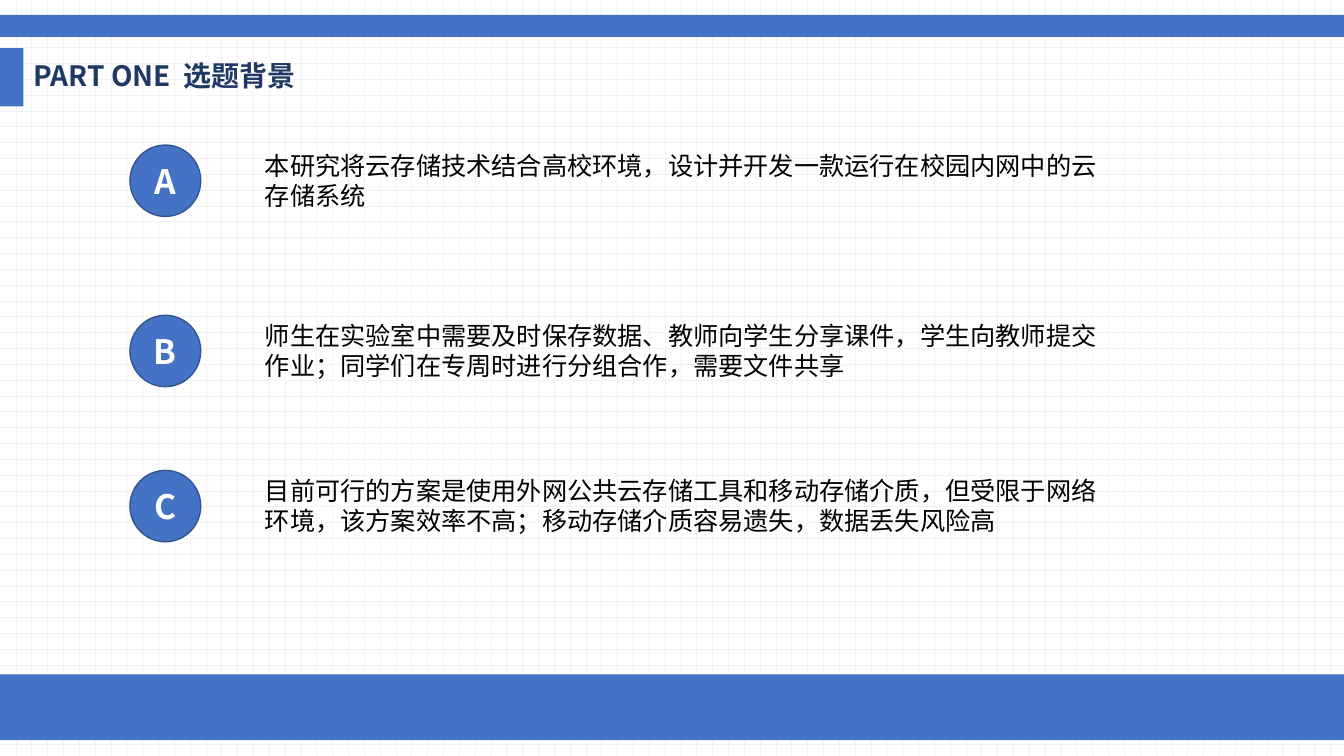
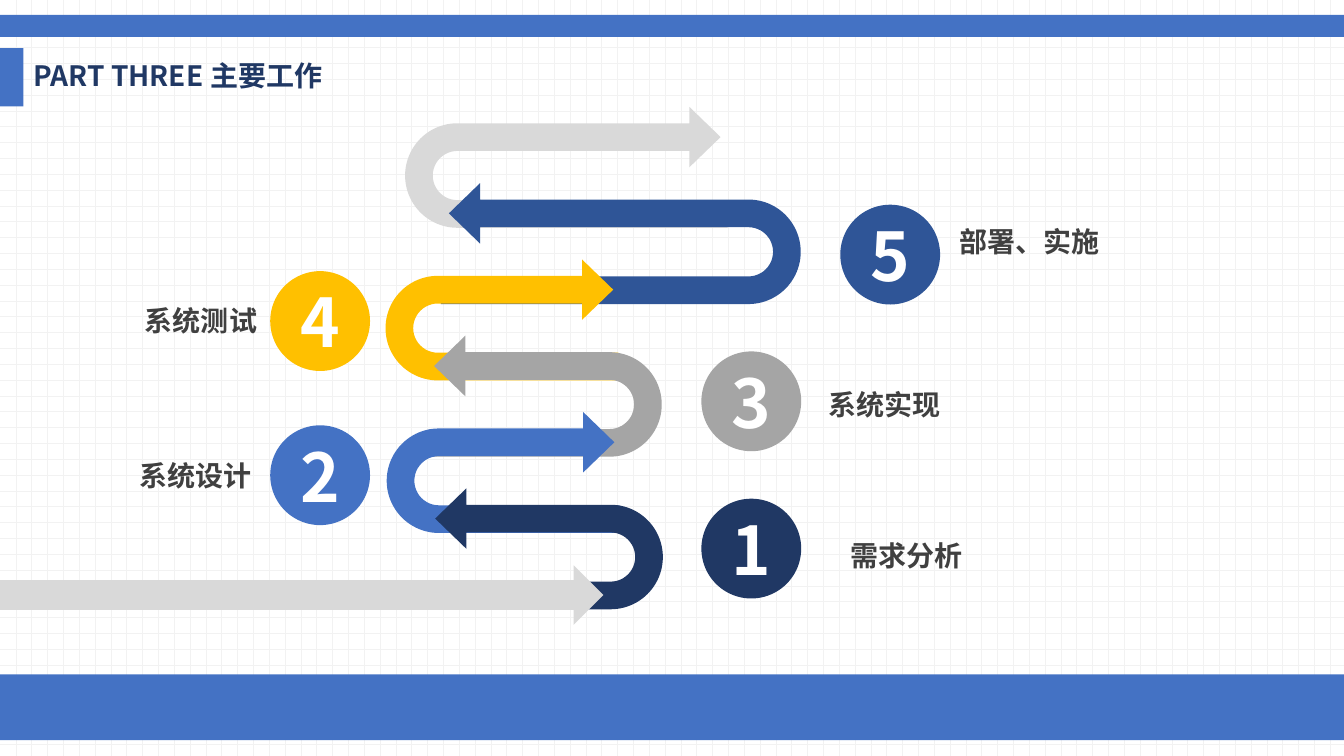
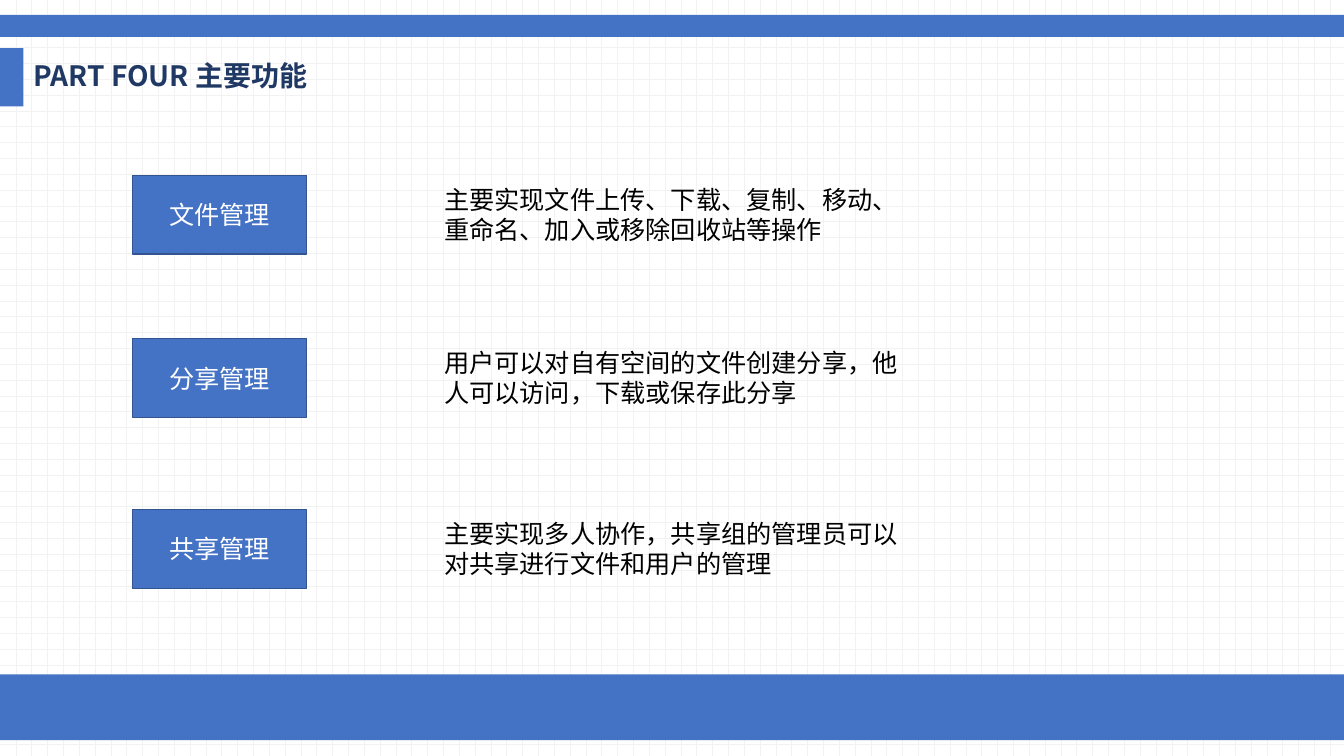
from lxml.etree import SubElement
from pptx import Presentation
from pptx.dml.color import RGBColor
from pptx.enum.dml import MSO_PATTERN
from pptx.enum.shapes import MSO_SHAPE
from pptx.enum.text import MSO_ANCHOR, MSO_AUTO_SIZE, PP_ALIGN
from pptx.oxml.ns import qn
from pptx.util import Pt

FONT = "Noto Sans CJK SC"
BLUE = RGBColor(0x44, 0x72, 0xC4)
EDGE = RGBColor(0x32, 0x54, 0x91)
NAVY = RGBColor(0x20, 0x38, 0x64)
ROYAL = RGBColor(0x2F, 0x55, 0x97)
GOLD = RGBColor(0xFF, 0xC0, 0x00)
GRAY = RGBColor(0xA5, 0xA5, 0xA5)
SILVER = RGBColor(0xD9, 0xD9, 0xD9)
GRID = RGBColor(0xF2, 0xF2, 0xF2)
CHARCOAL = RGBColor(0x40, 0x40, 0x40)
BLACK = RGBColor(0, 0, 0)
WHITE = RGBColor(0xFF, 0xFF, 0xFF)


def write(tf, text, size=18, color=BLACK, bold=False, align=PP_ALIGN.LEFT,
          anchor=MSO_ANCHOR.TOP, spacing=None, before=None):
    """Write one formatted paragraph into a text frame."""
    tf.word_wrap = True
    tf.auto_size = MSO_AUTO_SIZE.NONE
    tf.vertical_anchor = anchor
    p = tf.paragraphs[0]
    p.alignment = align
    p.line_spacing = spacing
    if before is not None:
        p.space_before = Pt(before)
    r = p.add_run()
    r.text = text
    r.font.size = Pt(size)
    r.font.bold = bold
    r.font.name = FONT
    r.font.color.rgb = color
    SubElement(r.font._element, qn("a:ea"), typeface=FONT)


class Deck:
    """Hold the shared style and the current slide."""

    def __init__(self):
        """Set the slide size and the grid background."""
        self.prs = Presentation()
        self.prs.slide_width, self.prs.slide_height = Pt(960), Pt(540)
        fill = self.prs.slide_master.background.fill
        fill.patterned()
        fill.pattern = MSO_PATTERN.DOTTED_GRID
        fill.fore_color.rgb = GRID
        fill.back_color.rgb = WHITE

    def slide(self, title):
        """Start a slide with its bands and title."""
        self.s = self.prs.slides.add_slide(self.prs.slide_layouts[5])
        for box in ((0, 481.8, 960, 47), (0, 10.6, 960, 15.8), (0, 34.4, 16.8, 41.6)):
            self.shape(MSO_SHAPE.RECTANGLE, *box)
        sp = self.s.shapes.title
        sp.left, sp.top, sp.width, sp.height = Pt(16.8), Pt(34.4), Pt(383), Pt(41.6)
        write(sp.text_frame, title, size=20, color=NAVY, bold=True,
              anchor=MSO_ANCHOR.MIDDLE, spacing=0.9, before=10)

    def shape(self, kind, x, y, w, h, fill=BLUE, line=None, text=None, **fmt):
        """Add a flat shape, with centred white text if given."""
        sp = self.s.shapes.add_shape(kind, Pt(x), Pt(y), Pt(w), Pt(h))
        sp.shadow.inherit = False
        sp.fill.solid()
        sp.fill.fore_color.rgb = fill
        if line is None:
            sp.line.fill.background()
        else:
            sp.line.color.rgb = line
            sp.line.width = Pt(1)
        if text:
            write(sp.text_frame, text, color=WHITE, align=PP_ALIGN.CENTER,
                  anchor=MSO_ANCHOR.MIDDLE, **fmt)
        return sp

    def text(self, x, y, w, h, text, **fmt):
        """Add a text box."""
        sp = self.s.shapes.add_textbox(Pt(x), Pt(y), Pt(w), Pt(h))
        write(sp.text_frame, text, **fmt)

    def uturn(self, x, y, length, fill, to_right):
        """Add a lying U-turn arrow whose visible box starts at x, y."""
        h = 86.4
        shift = (length - h) / 2
        sp = self.shape(MSO_SHAPE.U_TURN_ARROW, x + shift, y - shift, h, length, fill)
        for i, value in enumerate((0.229, 0.25, 0.258, 0.437, 0.978)):
            sp.adjustments[i] = value
        sp.rotation = 270 if to_right else 90
        if not to_right:
            sp._element.spPr.xfrm.set("flipH", "1")

    def step(self, number, x, y, fill, label, label_x, label_y, align=PP_ALIGN.LEFT):
        """Add a numbered disc and its label."""
        self.text(label_x, label_y, 155.5, 36, label, size=20, color=CHARCOAL,
                  bold=True, align=align, spacing=1.3)
        self.shape(MSO_SHAPE.OVAL, x, y, 71.3, 71.3, fill, text=number, size=48, bold=True)


def main():
    """Build the three slides."""
    deck = Deck()

    deck.slide("PART ONE  选题背景")
    reasons = (
        ("A", 103.6, "本研究将云存储技术结合高校环境，设计并开发一款运行在校园内网中的云存储系统"),
        ("B", 225.2, "师生在实验室中需要及时保存数据、教师向学生分享课件，学生向教师提交作业；同学们在专周时进行分组合作，需要文件共享"),
        ("C", 336, "目前可行的方案是使用外网公共云存储工具和移动存储介质，但受限于网络环境，该方案效率不高；移动存储介质容易遗失，数据丢失风险高"),
    )
    for letter, y, reason in reasons:
        deck.text(182.2, y, 616.3, 51, reason)
        deck.shape(MSO_SHAPE.OVAL, 92.8, y, 50.6, 51, line=EDGE, text=letter,
                   size=24, bold=True)

    deck.slide("PART THREE 主要工作")
    turns = ((289.4, 230.4, SILVER), (315, 257, ROYAL), (275.4, 166.3, GOLD),
             (306.4, 166.3, GRAY), (276.2, 166.3, BLUE), (307.2, 166.3, NAVY))
    for i, (x, length, color) in enumerate(turns):
        deck.uturn(x, 76.3 + 54.5 * i, length, color, to_right=i % 2 == 0)
    deck.shape(MSO_SHAPE.RIGHT_ARROW, 0, 403.8, 431, 42.5, SILVER)
    deck.step("1", 501, 356.2, NAVY, "需求分析", 600.5, 373.7)
    deck.step("2", 193, 303.8, BLUE, "系统设计", 31.7, 316.8, PP_ALIGN.RIGHT)
    deck.step("3", 501, 251, GRAY, "系统实现", 584.6, 266.4)
    deck.step("4", 193, 193.7, GOLD, "系统测试", 35.3, 205.9, PP_ALIGN.RIGHT)
    deck.step("5", 600.2, 146.2, ROYAL, "部署、实施", 678.2, 149.8)

    deck.slide("PART FOUR 主要功能")
    features = (
        ("文件管理", 125.2, "主要实现文件上传、下载、复制、移动、重命名、加入或移除回收站等操作"),
        ("分享管理", 241.8, "用户可以对自有空间的文件创建分享，他人可以访问，下载或保存此分享"),
        ("共享管理", 363.8, "主要实现多人协作，共享组的管理员可以对共享进行文件和用户的管理"),
    )
    for name, y, detail in features:
        deck.shape(MSO_SHAPE.RECTANGLE, 94.8, y, 124.2, 56.4, line=EDGE, text=name)
        deck.text(310.2, y + 2.8, 340, 51, detail)

    deck.prs.save("out.pptx")


if __name__ == "__main__":
    main()
